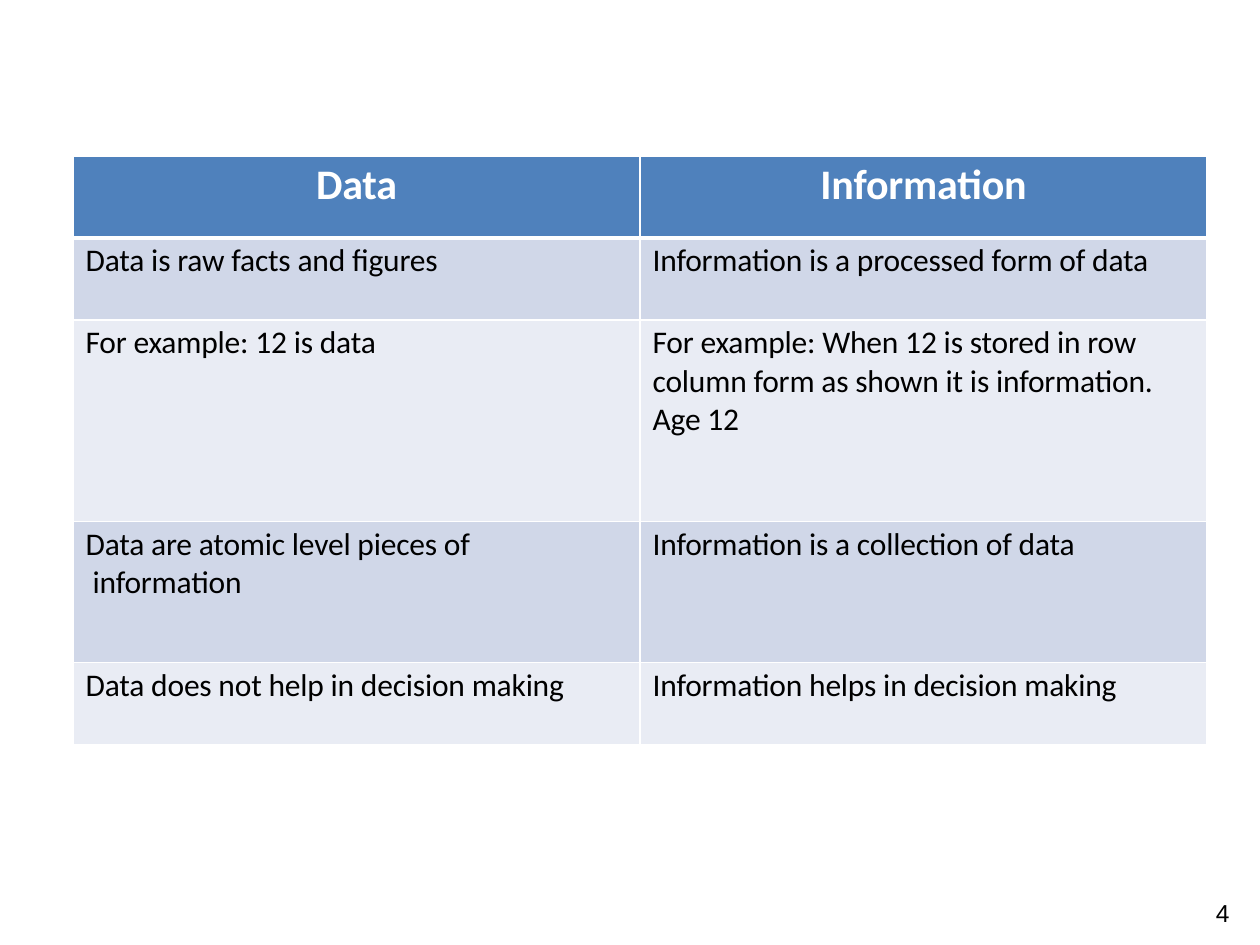
from lxml.etree import SubElement
from pptx import Presentation
from pptx.dml.color import RGBColor
from pptx.enum.text import PP_ALIGN
from pptx.oxml.ns import qn
from pptx.util import Inches, Pt

HEADER_BLUE = RGBColor(0x4F, 0x81, 0xBC)
BAND_DARK = RGBColor(0xD0, 0xD7, 0xE8)
BAND_LIGHT = RGBColor(0xE9, 0xEC, 0xF4)
WHITE = RGBColor(0xFF, 0xFF, 0xFF)
BLACK = RGBColor(0, 0, 0)

# Content: row height, then the two cells ("\n" is a line break)
ROWS = [
    (0.65, "Data", "Information"),
    (0.65, "Data is raw facts and figures", "Information is a processed form of data"),
    (1.6, "For example: 12 is data",
     "For example: When 12 is stored in row\n"
     "column form as shown it is information.\nAge 12"),
    (1.12, "Data are atomic level pieces of\n information",
     "Information is a collection of data"),
    (0.65, "Data does not help in decision making",
     "Information helps in decision making"),
]
COLUMN_WIDTH = 4.5
PAGE_NUMBER = "4"


def add_run(paragraph, text, font_name, size, color, bold=False):
    run = paragraph.add_run()
    run.text = text
    font = run.font
    font.name, font.size, font.bold = font_name, Pt(size), bold
    font.color.rgb = color
    return run


def set_borders(cell, top, bottom):
    properties = cell._tc.get_or_add_tcPr()
    for side, width in (("L", 1), ("R", 1), ("T", top), ("B", bottom)):
        line = SubElement(properties, qn(f"a:ln{side}"), w=str(Pt(width)))
        fill = SubElement(line, qn("a:solidFill"))
        SubElement(fill, qn("a:srgbClr"), val=str(WHITE))


def fill_cell(cell, text, row_index):
    header = row_index == 0
    set_borders(cell, top=3 if row_index == 1 else 1, bottom=3 if header else 1)
    cell.fill.solid()
    cell.fill.fore_color.rgb = (
        HEADER_BLUE if header else BAND_DARK if row_index % 2 else BAND_LIGHT)
    cell.margin_left = Inches(0 if header else 0.1)
    cell.margin_right = cell.margin_bottom = 0
    cell.margin_top = Inches(0.03)

    paragraph = cell.text_frame.paragraphs[0]
    paragraph.alignment = PP_ALIGN.CENTER if header else PP_ALIGN.LEFT
    paragraph.space_before = Pt(2 if header else 2.4)
    for line_index, line in enumerate(text.split("\n")):
        if line_index:
            paragraph.add_line_break()
        run = add_run(paragraph, line, "Calibri", 24 if header else 18,
                      WHITE if header else BLACK, header)
        run._r.get_or_add_rPr().set("spc", "-10")


presentation = Presentation()
presentation.slide_width, presentation.slide_height = Inches(10), Inches(7.5)
slide = presentation.slides.add_slide(presentation.slide_layouts[6])

# Comparison table
table = slide.shapes.add_table(
    len(ROWS), 2, Inches(0.58), Inches(1.24), Inches(2 * COLUMN_WIDTH),
    Inches(sum(row[0] for row in ROWS))).table
for column in table.columns:
    column.width = Inches(COLUMN_WIDTH)
for row_index, (height, *texts) in enumerate(ROWS):
    table.rows[row_index].height = Inches(height)
    for column_index, text in enumerate(texts):
        fill_cell(table.cell(row_index, column_index), text, row_index)

# Page number
number_box = slide.shapes.add_textbox(
    Inches(9.62), Inches(7.13), Inches(0.27), Inches(0.25))
frame = number_box.text_frame
frame.word_wrap = True
frame.margin_left = Inches(0.03)
frame.margin_top = frame.margin_right = frame.margin_bottom = 0
frame.paragraphs[0].line_spacing = Pt(16.4)
add_run(frame.paragraphs[0], PAGE_NUMBER, "Arial", 14, BLACK)

presentation.save("out.pptx")
